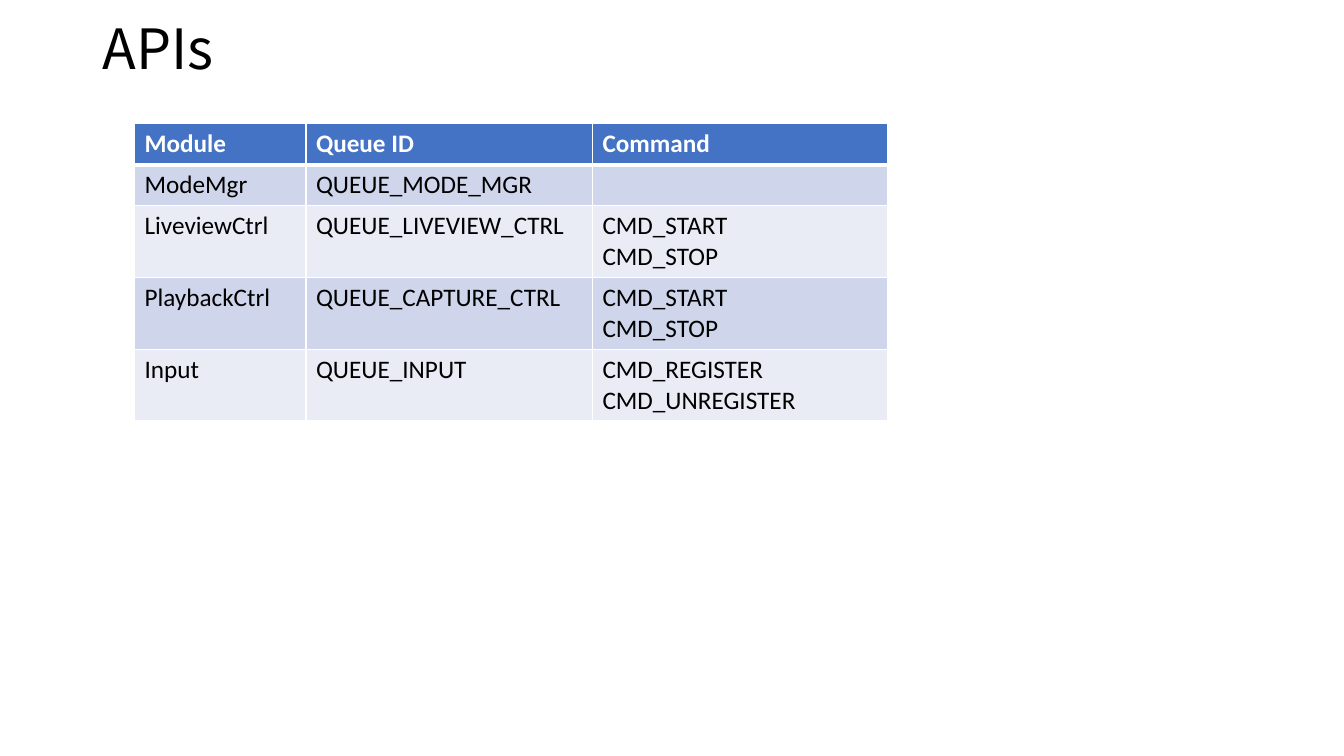
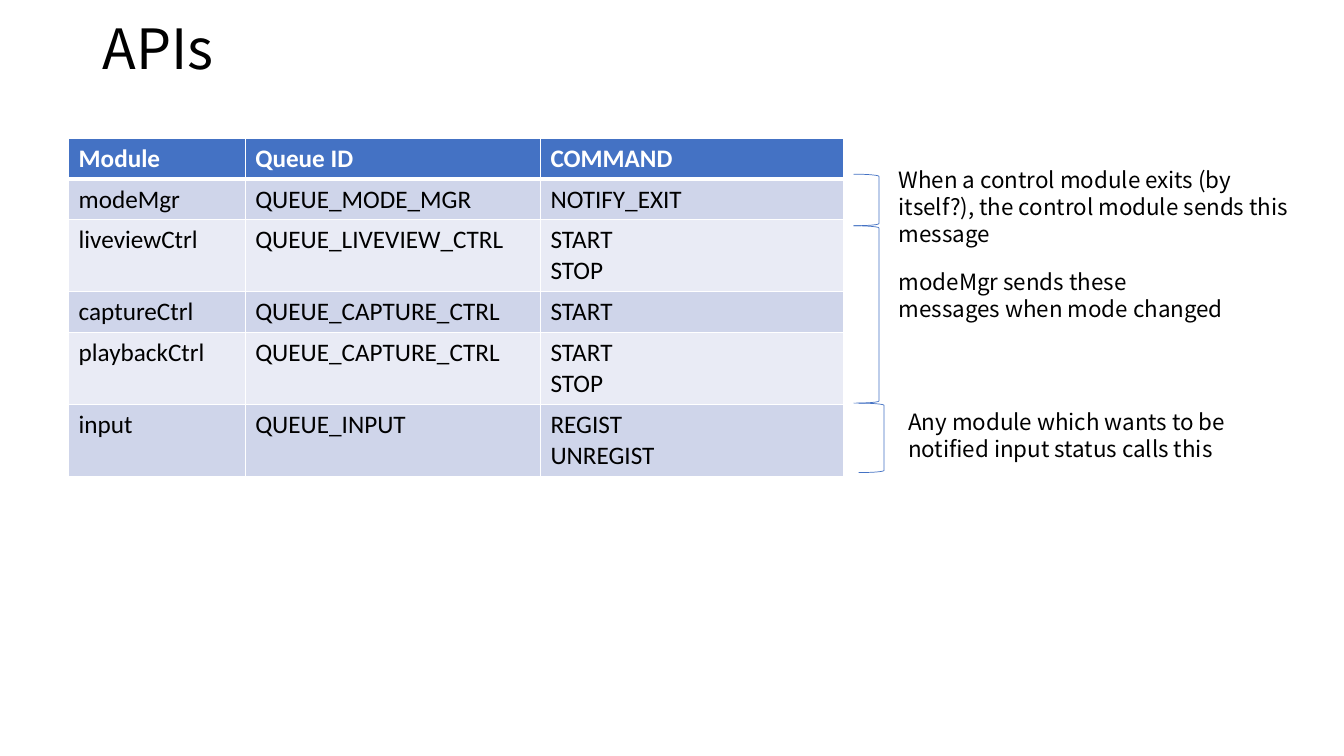
from lxml.etree import SubElement
from pptx import Presentation
from pptx.dml.color import RGBColor
from pptx.enum.shapes import MSO_SHAPE
from pptx.enum.text import MSO_ANCHOR, MSO_AUTO_SIZE, PP_ALIGN
from pptx.oxml.ns import qn
from pptx.util import Cm, Pt

# Shared style
BLACK = RGBColor(0x00, 0x00, 0x00)
WHITE = RGBColor(0xFF, 0xFF, 0xFF)
BLUE = RGBColor(0x44, 0x72, 0xC4)
BAND_DARK = RGBColor(0xCF, 0xD5, 0xEA)
BAND_LIGHT = RGBColor(0xE9, 0xEB, 0xF5)
TEXT_FONT = "Noto Sans CJK JP"
TABLE_FONT = "Calibri"
LINE_ROW, TWO_LINE_ROW = 1.03, 1.81


def format_text(frame, font_name, size, color, bold=False):
    for paragraph in frame.paragraphs:
        for run in paragraph.runs:
            run.font.name = font_name
            run.font.size = Pt(size)
            run.font.color.rgb = color
            run.font.bold = bold


def set_borders(cell, bottom_width):
    properties = cell._tc.get_or_add_tcPr()
    for side, width in (("L", 1), ("R", 1), ("T", 1), ("B", bottom_width)):
        border = SubElement(properties, qn(f"a:ln{side}"), w=str(Pt(width)))
        fill = SubElement(border, qn("a:solidFill"))
        SubElement(fill, qn("a:srgbClr"), val=str(WHITE))


# Content: left, top, column widths and rows of each API table
api_tables = [
    (3.39, 3.12, (4.32, 7.22, 7.43), [
        ("Module", "Queue ID", "Command"),
        ("ModeMgr", "QUEUE_MODE_MGR", ""),
        ("LiveviewCtrl", "QUEUE_LIVEVIEW_CTRL", "CMD_START\nCMD_STOP"),
        ("PlaybackCtrl", "QUEUE_CAPTURE_CTRL", "CMD_START\nCMD_STOP"),
        ("Input", "QUEUE_INPUT", "CMD_REGISTER\nCMD_UNREGISTER"),
    ]),
    (1.73, 3.48, (4.45, 7.44, 7.65), [
        ("Module", "Queue ID", "COMMAND"),
        ("modeMgr", "QUEUE_MODE_MGR", "NOTIFY_EXIT"),
        ("liveviewCtrl", "QUEUE_LIVEVIEW_CTRL", "START\nSTOP"),
        ("captureCtrl", "QUEUE_CAPTURE_CTRL", "START"),
        ("playbackCtrl", "QUEUE_CAPTURE_CTRL", "START\nSTOP"),
        ("input", "QUEUE_INPUT", "REGIST\nUNREGIST"),
    ]),
]

# Bracket left, top, bottom; note left, top, width, text
bracket_notes = [
    (21.51, 5.69, 10.16, 22.4, 6.63, 8.81,
     "modeMgr sends these messages when mode changed"),
    (21.51, 4.39, 5.69, 22.4, 4.06, 10.34,
     "When a control module exits (by itself?), the control module sends this message"),
    (21.64, 10.16, 11.91, 22.64, 10.16, 8.81,
     "Any module which wants to be notified input status calls this"),
]

presentation = Presentation()
presentation.slide_width, presentation.slide_height = Cm(33.87), Cm(19.05)
title_layout = presentation.slide_layouts[5]

# Title place, inherited by every slide
layout_title = title_layout.placeholders[0]
layout_title.left, layout_title.top = Cm(2.33), Cm(0.43)
layout_title.width, layout_title.height = Cm(29.21), Cm(1.75)

for left, top, widths, rows in api_tables:
    slide = presentation.slides.add_slide(title_layout)

    # Title
    title = slide.shapes.title.text_frame
    title.text = "APIs"
    title.auto_size = MSO_AUTO_SIZE.NONE
    title.vertical_anchor = MSO_ANCHOR.MIDDLE
    title.paragraphs[0].alignment = PP_ALIGN.LEFT
    title.paragraphs[0].line_spacing = 0.9
    format_text(title, TEXT_FONT, 39.6, BLACK)

    # API table
    heights = [TWO_LINE_ROW if "\n" in row[-1] else LINE_ROW for row in rows]
    api_table = slide.shapes.add_table(
        len(rows), len(widths), Cm(left), Cm(top),
        Cm(sum(widths)), Cm(sum(heights))).table
    for column, width in zip(api_table.columns, widths):
        column.width = Cm(width)
    for r, row in enumerate(rows):
        header = r == 0
        api_table.rows[r].height = Cm(heights[r])
        for c, text in enumerate(row):
            cell = api_table.cell(r, c)
            cell.text_frame.text = text
            format_text(cell.text_frame, TABLE_FONT, 18,
                        WHITE if header else BLACK, header)
            set_borders(cell, 3 if header else 1)
            cell.fill.solid()
            cell.fill.fore_color.rgb = (
                BLUE if header else BAND_DARK if r % 2 else BAND_LIGHT)

# Brackets and notes beside the second table
for left, top, bottom, note_left, note_top, note_width, text in bracket_notes:
    bracket = slide.shapes.add_shape(
        MSO_SHAPE.RIGHT_BRACKET, Cm(left), Cm(top), Cm(0.64), Cm(bottom - top))
    bracket.shadow.inherit = False
    bracket.fill.background()
    bracket.line.color.rgb = BLUE
    bracket.line.width = Pt(0.5)

    note = slide.shapes.add_textbox(
        Cm(note_left), Cm(note_top), Cm(note_width), Cm(1.63)).text_frame
    note.word_wrap = True
    note.auto_size = MSO_AUTO_SIZE.SHAPE_TO_FIT_TEXT
    note.text = text
    format_text(note, TEXT_FONT, 16, BLACK)

presentation.save("out.pptx")
